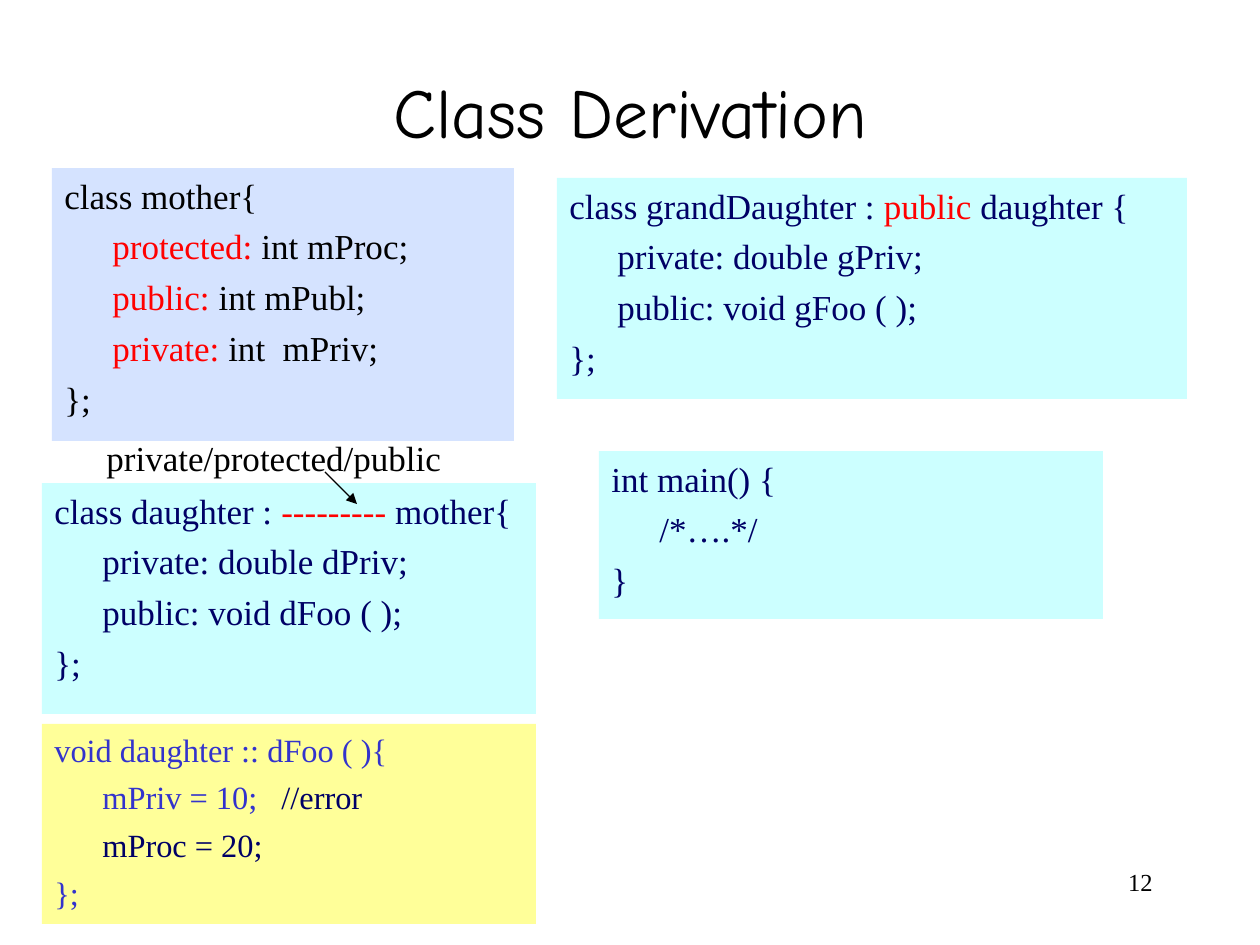
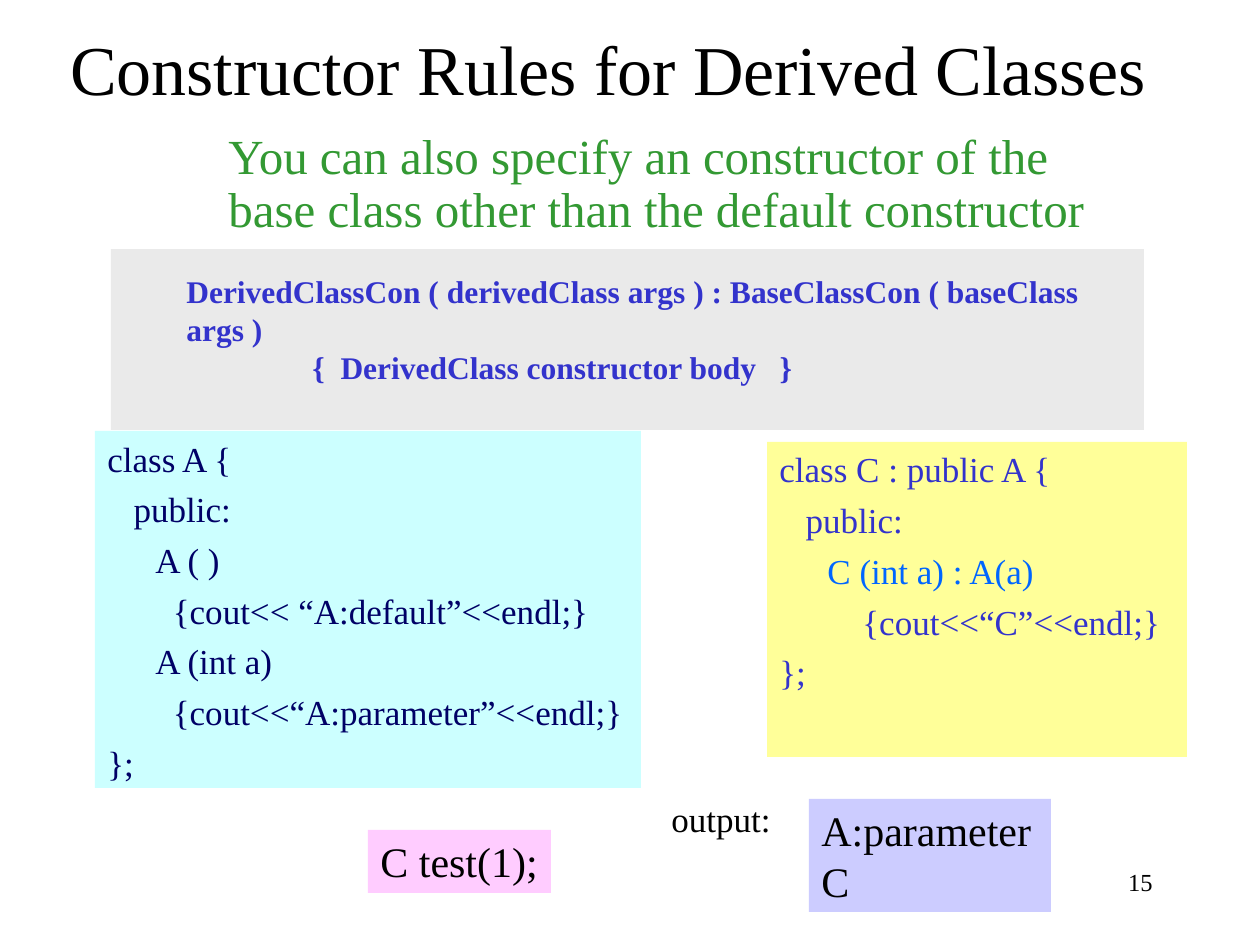
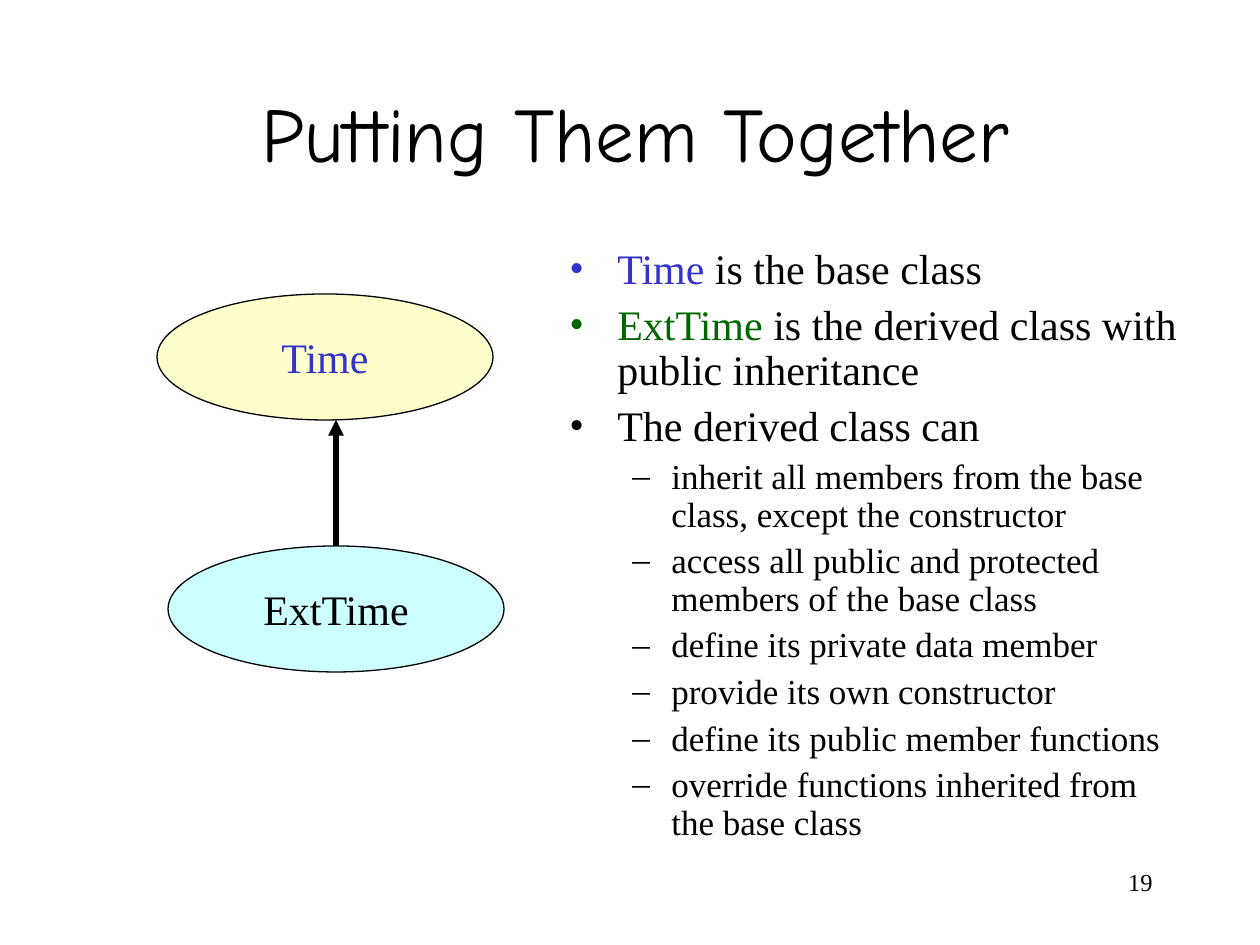
from lxml import etree
from pptx import Presentation
from pptx.dml.color import RGBColor
from pptx.enum.shapes import MSO_CONNECTOR, MSO_SHAPE
from pptx.enum.text import MSO_ANCHOR, PP_ALIGN
from pptx.oxml.ns import qn
from pptx.util import Emu, Pt

RECTANGLE, OVAL = MSO_SHAPE.RECTANGLE, MSO_SHAPE.OVAL
STRAIGHT = MSO_CONNECTOR.STRAIGHT
TOP, MIDDLE, BOTTOM = MSO_ANCHOR.TOP, MSO_ANCHOR.MIDDLE, MSO_ANCHOR.BOTTOM
LEFT, CENTER, RIGHT = PP_ALIGN.LEFT, PP_ALIGN.CENTER, PP_ALIGN.RIGHT

SERIF, COMIC = "Times New Roman", "Comic Neue"
COLORS = {
    "black": "000000", "red": "FF0000", "navy": "000066", "indigo": "3333CC",
    "azure": "0066FF", "green": "339933", "forest": "006600",
    "periwinkle": "D5E3FF", "cyan": "CCFFFF", "yellow": "FFFF99",
    "cream": "FFFFCC", "pink": "FFCCFF", "lavender": "CCCCFF", "gray": "EAEAEA",
}
PAGE = (0, 0, 1260, 945)
INDENT = 48


def px(length):
    """Turn a length in px into EMU."""
    return Emu(round(length * 914400 / 126))


def rgb(name):
    """Look up a named colour."""
    return RGBColor.from_string(COLORS[name])


def within(box, x, y, width, height):
    """Place a part relative to the corner of a box."""
    return box[0] + x, box[1] + y, width, height


def set_bullet(paragraph, char, color, margin, hanging):
    """Give a paragraph a coloured bullet and a hanging indent."""
    props = paragraph._p.get_or_add_pPr()
    props.set("marL", str(px(margin)))
    props.set("indent", str(-px(hanging)))
    holder = etree.SubElement(props, qn("a:buClr"))
    etree.SubElement(holder, qn("a:srgbClr"), val=COLORS[color])
    etree.SubElement(props, qn("a:buFont"), typeface=SERIF)
    etree.SubElement(props, qn("a:buChar"), char=char)


def write(frame, lines, size=20, color="black", font=SERIF, bold=False, align=LEFT,
          anchor=TOP, before=0, spacing=None, indent=INDENT, margin=0, top=6,
          wrap=True, bullets=None):
    """Fill a frame with lines of text or (text, colour) runs; a tab indents a line."""
    frame.word_wrap, frame.vertical_anchor = wrap, anchor
    frame.margin_top = px(top)
    for i, line in enumerate(lines):
        paragraph = frame.paragraphs[0] if i == 0 else frame.add_paragraph()
        paragraph.alignment = align
        runs = [(line, color)] if isinstance(line, str) else line
        if bullets:
            mark, line_size, gap, left, hanging = bullets[i]
            set_bullet(paragraph, mark, runs[0][1], left, hanging)
        else:
            line_size, gap = size, before
            left = margin + indent * runs[0][0].startswith("\t")
            paragraph._p.get_or_add_pPr().set("marL", str(px(left)))
        if i and gap:
            paragraph.space_before = Pt(gap)
        if spacing:
            paragraph.line_spacing = spacing
        for text, run_color in runs:
            run = paragraph.add_run()
            run.text = text.lstrip("\t")
            run.font.size, run.font.name, run.font.bold = Pt(line_size), font, bold
            run.font.color.rgb = rgb(run_color)


def add_text(slide, box, lines, **style):
    """Add an unfilled text box."""
    write(slide.shapes.add_textbox(*map(px, box)).text_frame, lines, **style)


def add_panel(slide, box, lines, fill, shape=RECTANGLE, outline=None, **style):
    """Add a filled shape with text."""
    panel = slide.shapes.add_shape(shape, *map(px, box))
    panel.shadow.inherit = False
    panel.fill.solid()
    panel.fill.fore_color.rgb = rgb(fill)
    if outline:
        panel.line.color.rgb = rgb(outline)
        panel.line.width = Pt(0.75)
    else:
        panel.line.fill.background()
    write(panel.text_frame, lines, **style)


def add_code(slide, box, lines, fill, color="navy", size=20):
    """Add a panel of source code."""
    add_panel(slide, box, lines, fill, color=color, size=size, before=5)


def add_arrow(slide, start, end, width):
    """Draw a black line with an arrowhead at its end."""
    arrow = slide.shapes.add_connector(STRAIGHT, *map(px, start + end))
    arrow.line.color.rgb = rgb("black")
    arrow.line.width = Pt(width)
    etree.SubElement(arrow.line._get_or_add_ln(), qn("a:tailEnd"), type="triangle")
    etree.SubElement(arrow._element.spPr, qn("a:effectLst"))


def add_title(slide, box, title, size=40, font=COMIC, anchor=MIDDLE):
    """Add a centred slide title."""
    add_text(slide, box, [title], size=size, font=font, align=CENTER, anchor=anchor)


def add_page_number(slide, page, number):
    """Add the page number at the lower right."""
    add_text(slide, within(page, 903, 861, 262, 63), [number], size=14, align=RIGHT)


def base_and_derived(slide, box):
    """Show the mother and daughter classes with the choice of access."""
    add_code(slide, within(box, 10, 0, 462, 273), [
        "class mother{",
        [("\tprotected: ", "red"), ("int mProc;", "black")],
        [("\tpublic: ", "red"), ("int mPubl;", "black")],
        [("\tprivate: ", "red"), ("int  mPriv;", "black")],
        "};"], "periwinkle", color="black")
    add_code(slide, within(box, 0, 315, 494, 231), [
        [("class daughter : ", "navy"), ("---------", "red"), (" mother{", "navy")],
        "\tprivate: double dPriv;",
        "\tpublic: void dFoo ( );",
        "};"], "cyan")
    add_code(slide, within(box, 0, 556, 494, 200), [
        "void daughter :: dFoo ( ){",
        [("\tmPriv = 10;", "indigo"), ("   //error", "navy")],
        [("\tmProc = 20;", "navy")],
        "};"], "yellow", color="indigo", size=18.5)
    add_text(slide, within(box, 52, 262, 441, 55), ["private/protected/public"])
    x, y = box[:2]
    add_arrow(slide, (x + 283, y + 304), (x + 315, y + 336), 0.75)


def derivation_slide(slide, page):
    """Build the slide on class derivation."""
    add_title(slide, within(page, 95, 63, 1071, 95), "Class Derivation")
    base_and_derived(slide, within(page, 42, 168, 494, 756))
    add_code(slide, within(page, 599, 451, 504, 168),
             ["int main() {", "\t/*….*/", "}"], "cyan")
    add_code(slide, within(page, 557, 178, 630, 221), [
        [("class grandDaughter : ", "navy"), ("public", "red"), (" daughter {", "navy")],
        "\tprivate: double gPriv;",
        "\tpublic: void gFoo ( );",
        "};"], "cyan")
    add_page_number(slide, page, "12")


def constructor_example(slide, box):
    """Show two classes, a test and its output."""
    add_code(slide, within(box, 0, 0, 546, 357), [
        "class A {",
        "   public:",
        "\tA ( )",
        "\t  {cout<< “A:default”<<endl;}",
        "\tA (int a)",
        "\t  {cout<<“A:parameter”<<endl;}",
        "};"], "cyan")
    add_code(slide, within(box, 672, 11, 420, 315), [
        "class C : public A {",
        "   public:",
        [("\tC (int a) : A(a)", "azure")],
        "\t    {cout<<“C”<<endl;}",
        "};"], "yellow", color="indigo")
    add_panel(slide, within(box, 273, 399, 183, 63), ["C test(1);"], "pink",
              size=24, wrap=False)
    add_panel(slide, within(box, 714, 368, 242, 113), ["A:parameter", "C"],
              "lavender", size=24)
    add_text(slide, within(box, 564, 360, 125, 55), ["output:"], wrap=False)


def constructor_slide(slide, page):
    """Build the slide on constructor rules."""
    add_title(slide, within(page, 0, 21, 1216, 95),
              "Constructor Rules for Derived Classes", font=SERIF, anchor=BOTTOM)
    add_text(slide, within(page, 168, 126, 935, 126), [
        "You can also specify an constructor of the base class "
        "other than the default constructor"],
        size=28, color="green", spacing=0.9, margin=INDENT)
    add_panel(slide, within(page, 111, 249, 1033, 181), [
        "DerivedClassCon ( derivedClass args ) : BaseClassCon ( baseClass args )",
        "\t{  DerivedClass constructor body   }"],
        "gray", size=18, color="indigo", bold=True, margin=63, indent=126, top=23)
    constructor_example(slide, within(page, 95, 431, 1092, 481))
    add_page_number(slide, page, "15")


def class_diagram(slide, box):
    """Draw the derived class pointing up to its base class."""
    x, y = box[:2]
    add_arrow(slide, (x + 179, y + 252), (x + 179, y + 126), 3)
    for left, top, name, fill, color in (
            (11, 252, "ExtTime", "cyan", "black"), (0, 0, "Time", "cream", "indigo")):
        add_panel(slide, within(box, left, top, 336, 126), [name], fill, shape=OVAL,
                  outline="black", size=24, color=color, align=CENTER, anchor=MIDDLE)


def together_slide(slide, page):
    """Build the slide that joins base and derived class."""
    points = [
        [("Time", "indigo"), (" is the base class", "black")],
        [("ExtTime", "forest"),
         (" is the derived class with public inheritance", "black")],
        [("The derived class can", "black")]]
    abilities = [
        "inherit all members from the base class, except the constructor",
        "access all public and protected members of the base class",
        "define its private data member",
        "provide its own constructor",
        "define its public member functions",
        "override functions inherited from the base class"]
    add_title(slide, within(page, 84, 84, 1103, 95), "Putting Them Together", size=44)
    add_text(slide, within(page, 557, 242, 640, 620),
             points + [[(ability, "black")] for ability in abilities], spacing=0.9,
             bullets=[("•", 24, 6, INDENT, INDENT)] * len(points)
             + [("–", 20, 5, 102, 39)] * len(abilities))
    class_diagram(slide, within(page, 157, 294, 347, 378))
    add_page_number(slide, page, "19")


def main():
    """Build and save the presentation."""
    deck = Presentation()
    deck.slide_width, deck.slide_height = px(PAGE[2]), px(PAGE[3])
    for build in (derivation_slide, constructor_slide, together_slide):
        build(deck.slides.add_slide(deck.slide_layouts[6]), PAGE)
    deck.save("out.pptx")


if __name__ == "__main__":
    main()
